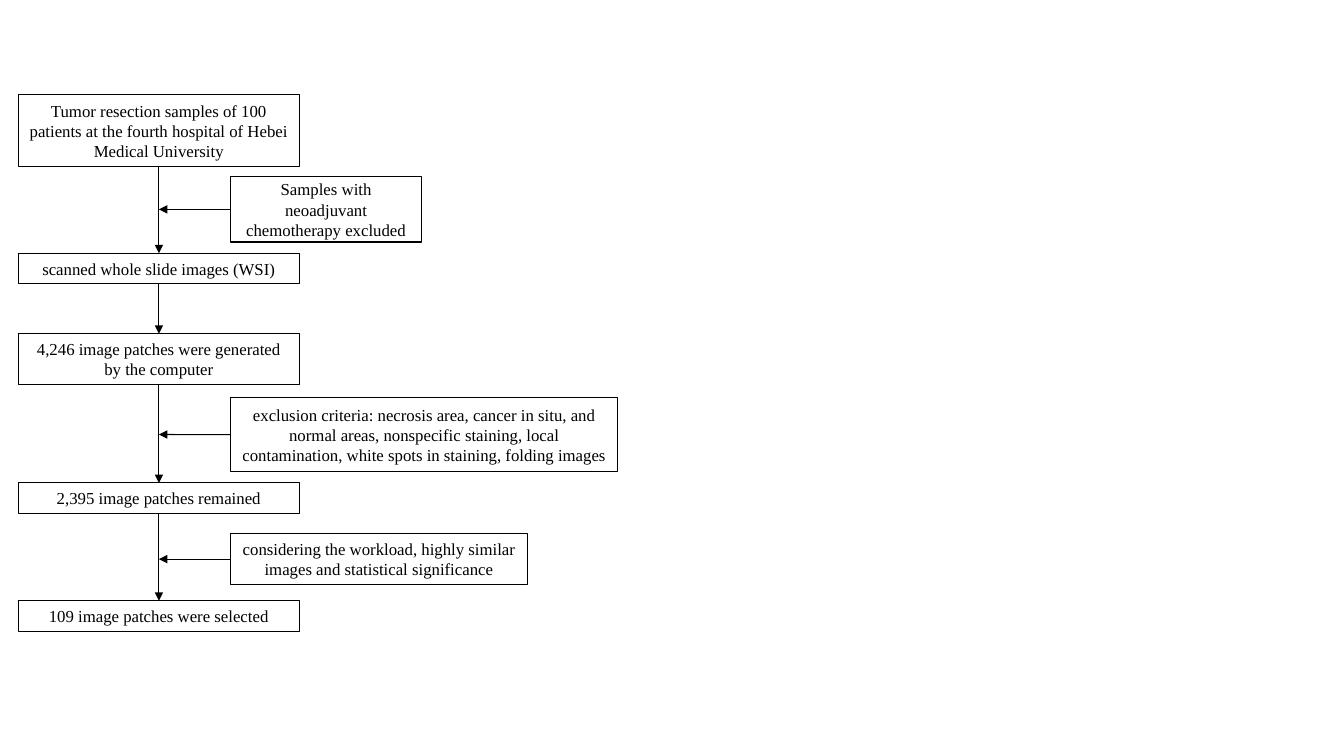
from lxml import etree
from pptx import Presentation
from pptx.dml.color import RGBColor
from pptx.enum.shapes import MSO_CONNECTOR, MSO_SHAPE
from pptx.enum.text import MSO_ANCHOR, MSO_AUTO_SIZE, PP_ALIGN
from pptx.oxml.ns import qn
from pptx.util import Cm, Pt

RECTANGLE = MSO_SHAPE.RECTANGLE
STRAIGHT = MSO_CONNECTOR.STRAIGHT
MIDDLE = MSO_ANCHOR.MIDDLE
CENTER = PP_ALIGN.CENTER
GROW = MSO_AUTO_SIZE.SHAPE_TO_FIT_TEXT
FIXED = MSO_AUTO_SIZE.NONE

BLACK = RGBColor(0x00, 0x00, 0x00)
FONT = "Times New Roman"
TEXT_SIZE = Pt(12)
LINE_WIDTH = Pt(0.75)

# Connection sites of a rectangle
TOP, LEFT, BOTTOM = 0, 1, 2

# Flow chart area: left, top, width, height in cm
FLOW_BOX = (0.46, 2.39, 15.11, 13.52)
STEP_WIDTH = 7.09
EXCLUSION_INDENT = 5.36

# Main steps: offset from the top of the area, height, text
STEPS = [
    (0, 1.8, "Tumor resection samples of 100 patients at the fourth hospital "
             "of Hebei Medical University"),
    (3.99, 0.77, "scanned whole slide images (WSI)"),
    (6.02, 1.28, "4,246 image patches were generated by the computer"),
    (9.78, 0.77, "2,395 image patches remained"),
    (12.75, 0.77, "109 image patches were selected"),
]

# Exclusions: offset from the top of the area, width, height, text
EXCLUSIONS = [
    (2.06, 4.8, 1.65, "Samples with neoadjuvant chemotherapy excluded"),
    (7.62, 9.75, 1.88, "exclusion criteria: necrosis area, cancer in situ, and "
                       "normal areas, nonspecific staining, local contamination, "
                       "white spots in staining, folding images"),
    (11.05, 7.47, 1.3, "considering the workload, highly similar images and "
                       "statistical significance"),
]


def add_text_frame_box(slide, left, top, width, height, text, auto_size):
    """Outlined rectangle with centred text."""
    shape = slide.shapes.add_shape(RECTANGLE, Cm(left), Cm(top), Cm(width), Cm(height))
    shape.shadow.inherit = False
    shape.fill.background()
    shape.line.color.rgb = BLACK
    shape.line.width = LINE_WIDTH
    text_frame = shape.text_frame
    text_frame.word_wrap = True
    text_frame.auto_size = auto_size
    text_frame.vertical_anchor = MIDDLE
    paragraph = text_frame.paragraphs[0]
    paragraph.text = text
    paragraph.alignment = CENTER
    paragraph.font.name = FONT
    paragraph.font.size = TEXT_SIZE
    paragraph.font.color.rgb = BLACK
    return shape


def add_arrow(slide, start_shape, start_site, end_x, end_y):
    """Arrow glued to a box at its start; returns the connector."""
    connector = slide.shapes.add_connector(STRAIGHT, end_x, end_y, end_x, end_y)
    connector.begin_connect(start_shape, start_site)
    connector.line.color.rgb = BLACK
    connector.line.width = LINE_WIDTH
    line = connector.line._get_or_add_ln()
    etree.SubElement(line, qn("a:tailEnd"), type="triangle")
    etree.SubElement(connector._element.spPr, qn("a:effectLst"))
    return connector


def add_steps(slide, left, top, width):
    """Column of main steps joined by downward arrows."""
    previous = None
    for offset, height, text in STEPS:
        step = add_text_frame_box(slide, left, top + offset, width, height, text, GROW)
        if previous is not None:
            arrow = add_arrow(slide, previous, BOTTOM, Cm(left + width / 2), step.top)
            arrow.end_connect(step, TOP)
        previous = step


def add_exclusions(slide, left, top, axis):
    """Side boxes, each pointing at the vertical axis of the steps."""
    for offset, width, height, text in EXCLUSIONS:
        exclusion = add_text_frame_box(slide, left, top + offset, width, height, text, FIXED)
        add_arrow(slide, exclusion, LEFT, Cm(axis), Cm(top + offset + height / 2))


def add_flow_chart(slide, box):
    left, top, _, _ = box
    add_steps(slide, left, top, STEP_WIDTH)
    add_exclusions(slide, left + EXCLUSION_INDENT, top, left + STEP_WIDTH / 2)


def main():
    presentation = Presentation()
    presentation.slide_width = Cm(33.87)
    presentation.slide_height = Cm(19.05)
    slide = presentation.slides.add_slide(presentation.slide_layouts[6])
    add_flow_chart(slide, FLOW_BOX)
    presentation.save("out.pptx")


if __name__ == "__main__":
    main()
